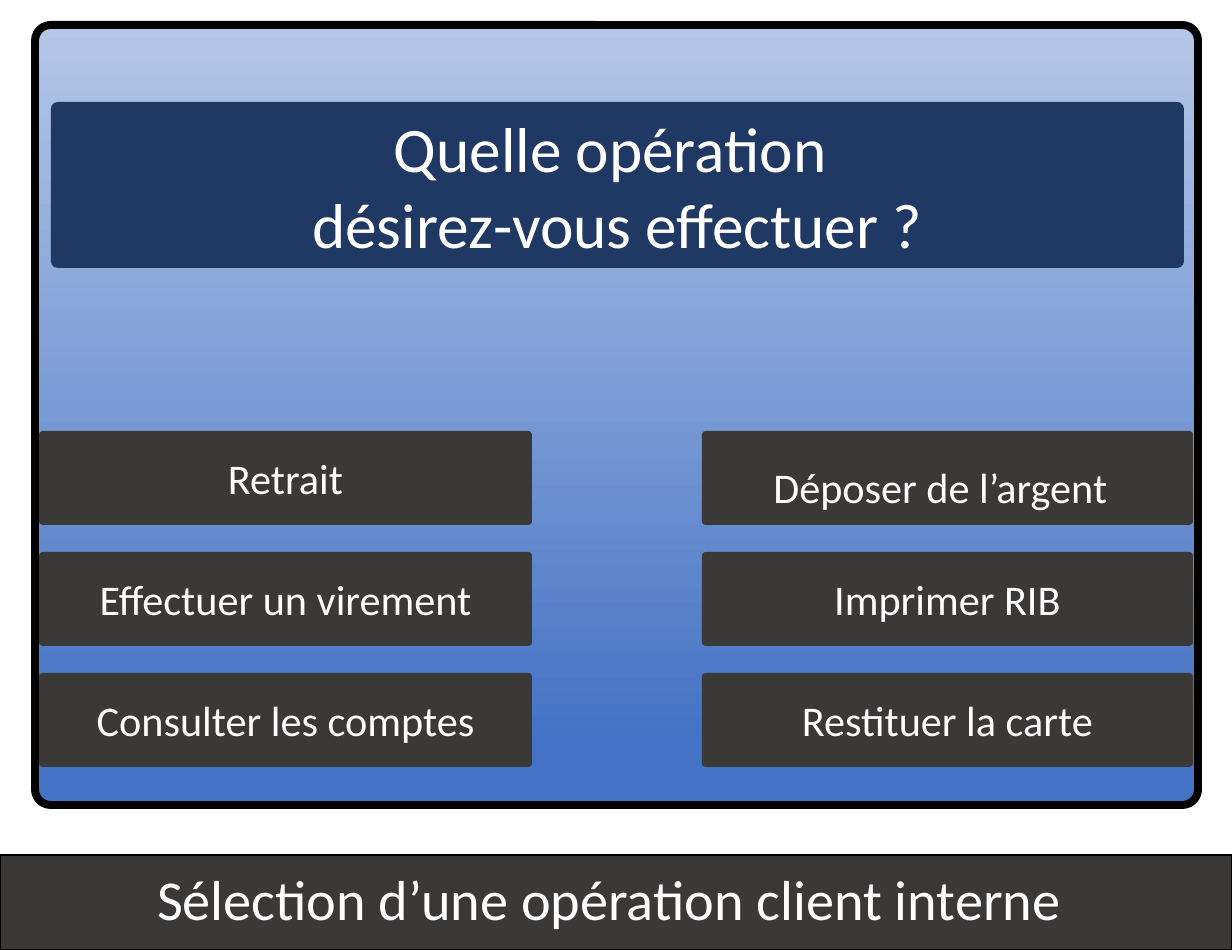
"""Build the cash machine screen for choosing an operation."""
from pptx import Presentation
from pptx.dml.color import RGBColor
from pptx.enum.shapes import MSO_SHAPE as SHAPE
from pptx.enum.text import MSO_ANCHOR as ANCHOR, MSO_AUTO_SIZE as AUTO, PP_ALIGN as ALIGN
from pptx.util import Pt

BLACK = RGBColor(0x00, 0x00, 0x00)
WHITE = RGBColor(0xFF, 0xFF, 0xFF)
CHARCOAL = RGBColor(0x3B, 0x38, 0x38)
NAVY = RGBColor(0x20, 0x38, 0x64)
BLUE = RGBColor(0x44, 0x72, 0xC4)
PALE_BLUE = RGBColor(0xB4, 0xC7, 0xE7)

CAPTION = [[("Sélection d’une opération client interne ", 32)]]
QUESTION = [[("Quelle opération ", 36)], [("désirez-vous effectuer ?", 36)]]
BUTTON_COLUMNS = [
    (39, 493, [
        [("Retrait", 24)],
        [("Effectuer un virement", 24)],
        [("Consulter les comptes", 24)],
    ]),
    (702, 491, [
        [("Déposer de l’argent", 24), (" ", 36)],
        [("Imprimer RIB", 24)],
        [("Restituer la carte", 24)],
    ]),
]

SLIDE_W, SLIDE_H = 1232, 950
CAPTION_BOX = (0, 855, SLIDE_W, 95)
SCREEN_BOX = (35, 25, 1163, 780)
QUESTION_BOX = (51, 102, 1133, 166)
BUTTON_TOP, BUTTON_H, BUTTON_PITCH = 431, 94, 121
CAPTION_SPACING = {"line_spacing": 0.9, "space_before": Pt(9.7)}


def px(n):
    return round(n * 914400 / 126.7)


def apply(target, values):
    for name, value in values.items():
        setattr(target, name, value)


def outline(shape, width):
    shape.line.color.rgb = BLACK
    shape.line.width = Pt(width)


def write(shape, paragraphs, spacing):
    tf = shape.text_frame
    apply(tf, {"word_wrap": True, "auto_size": AUTO.NONE, "vertical_anchor": ANCHOR.MIDDLE})
    for i, runs in enumerate(paragraphs):
        p = tf.add_paragraph() if i else tf.paragraphs[0]
        apply(p, {"alignment": ALIGN.CENTER, **spacing})
        for text, size in runs:
            r = p.add_run()
            r.text = text
            apply(r.font, {"name": "Calibri", "size": Pt(size)})
            r.font.color.rgb = WHITE


def add_panel(shapes, box, radius):
    sp = shapes.add_shape(SHAPE.ROUNDED_RECTANGLE, *map(px, box))
    sp.adjustments[0] = radius
    sp.shadow.inherit = False
    return sp


def add_label(shapes, box, color, paragraphs):
    sp = add_panel(shapes, box, 0.04)
    sp.fill.solid()
    sp.fill.fore_color.rgb = color
    sp.line.fill.background()
    write(sp, paragraphs, {})


prs = Presentation()
apply(prs, {"slide_width": px(SLIDE_W), "slide_height": px(SLIDE_H)})
s = prs.slides.add_slide(prs.slide_layouts[5])

caption = s.shapes.title
apply(caption, dict(zip(("left", "top", "width", "height"), map(px, CAPTION_BOX))))
caption.fill.solid()
caption.fill.fore_color.rgb = CHARCOAL
outline(caption, 0.75)
write(caption, CAPTION, CAPTION_SPACING)

machine = s.shapes.add_group_shape().shapes
screen = add_panel(machine, SCREEN_BOX, 0.02)
screen.fill.gradient()
screen.fill.gradient_angle = 90
for stop, position, color in zip(screen.fill.gradient_stops, (0.08, 1), (BLUE, PALE_BLUE)):
    stop.position = position
    stop.color.rgb = color
outline(screen, 4.5)

add_label(machine, QUESTION_BOX, NAVY, QUESTION)
for left, width, buttons in BUTTON_COLUMNS:
    for row, runs in enumerate(buttons):
        box = (left, BUTTON_TOP + row * BUTTON_PITCH, width, BUTTON_H)
        add_label(machine, box, CHARCOAL, [runs])

prs.save("out.pptx")
